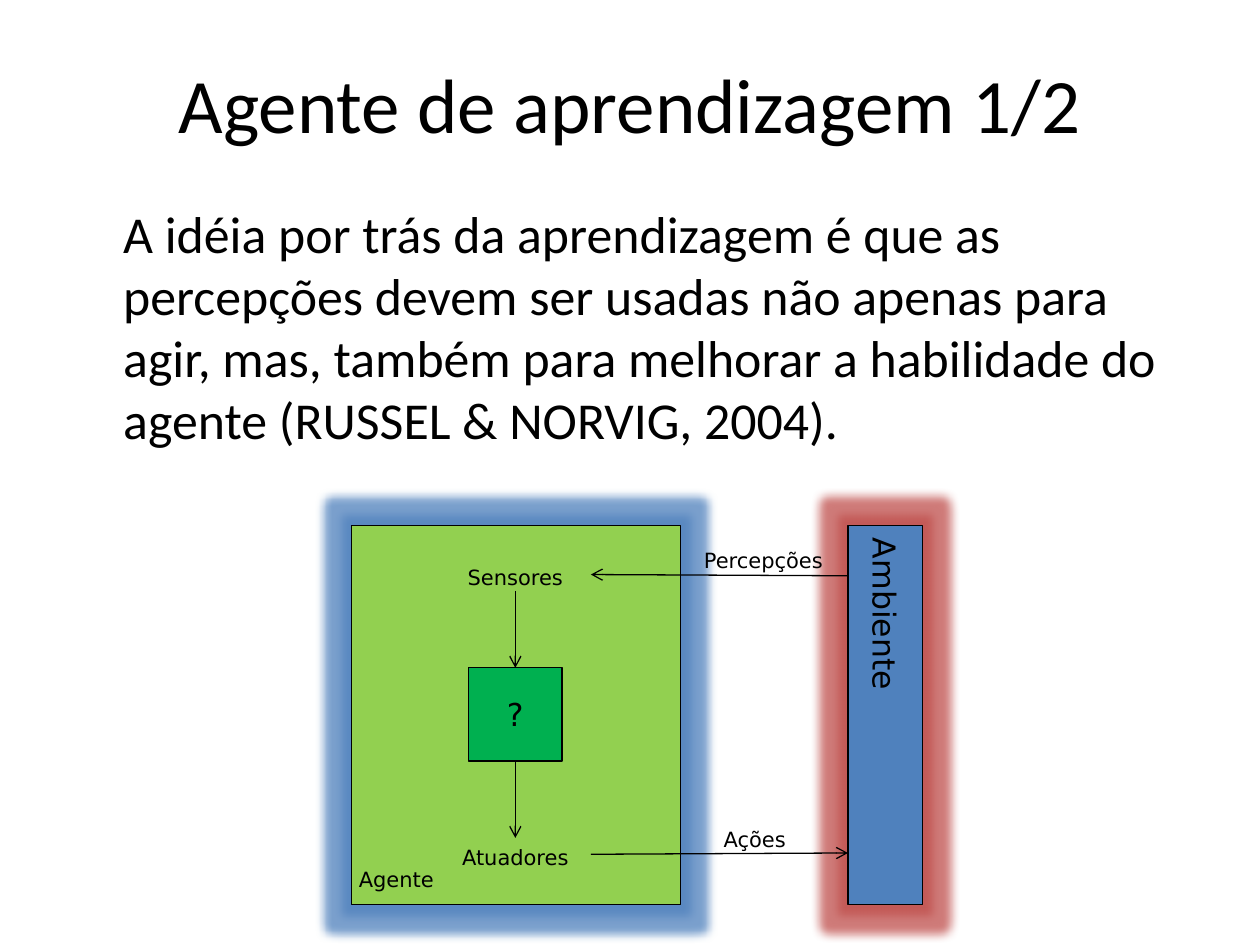
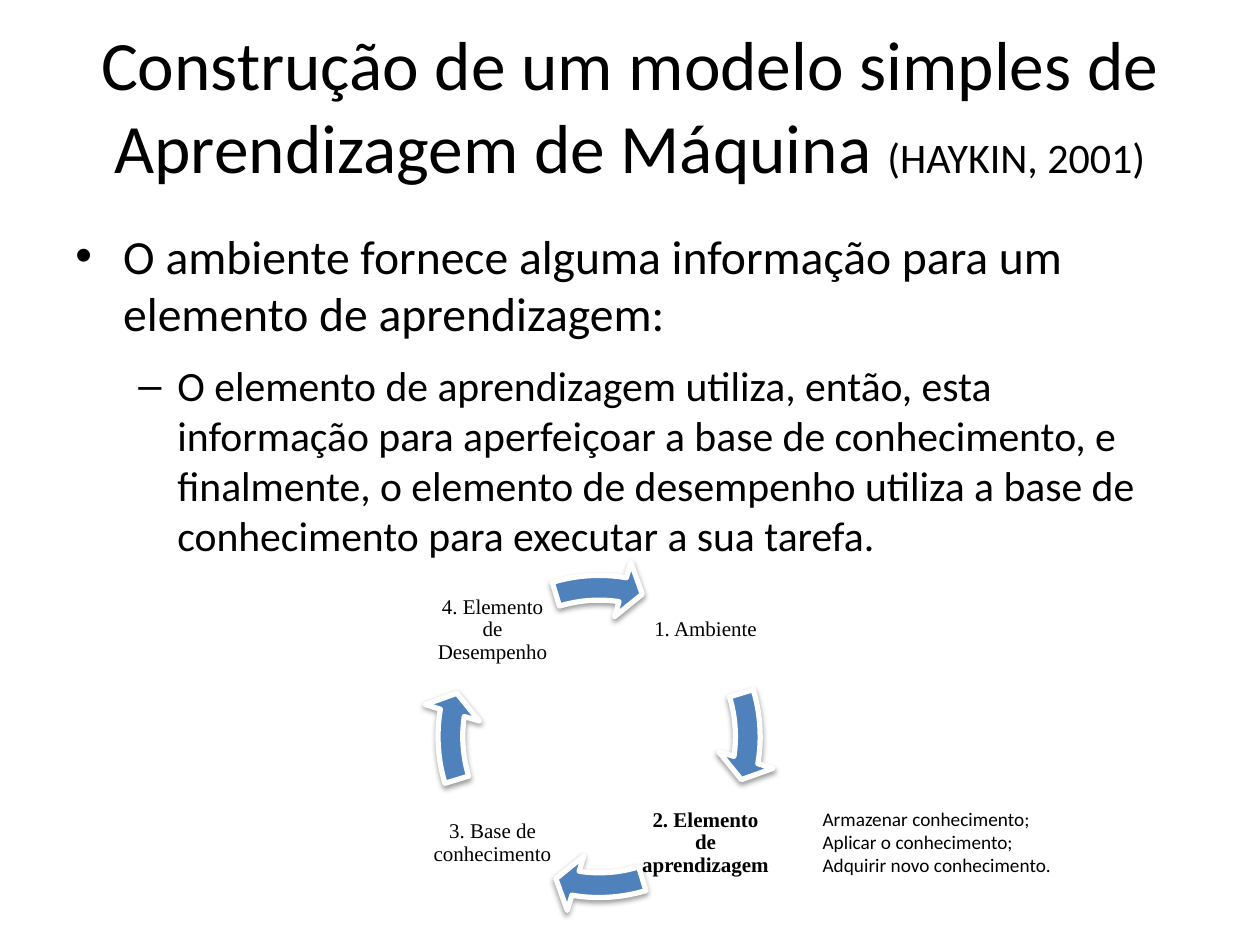
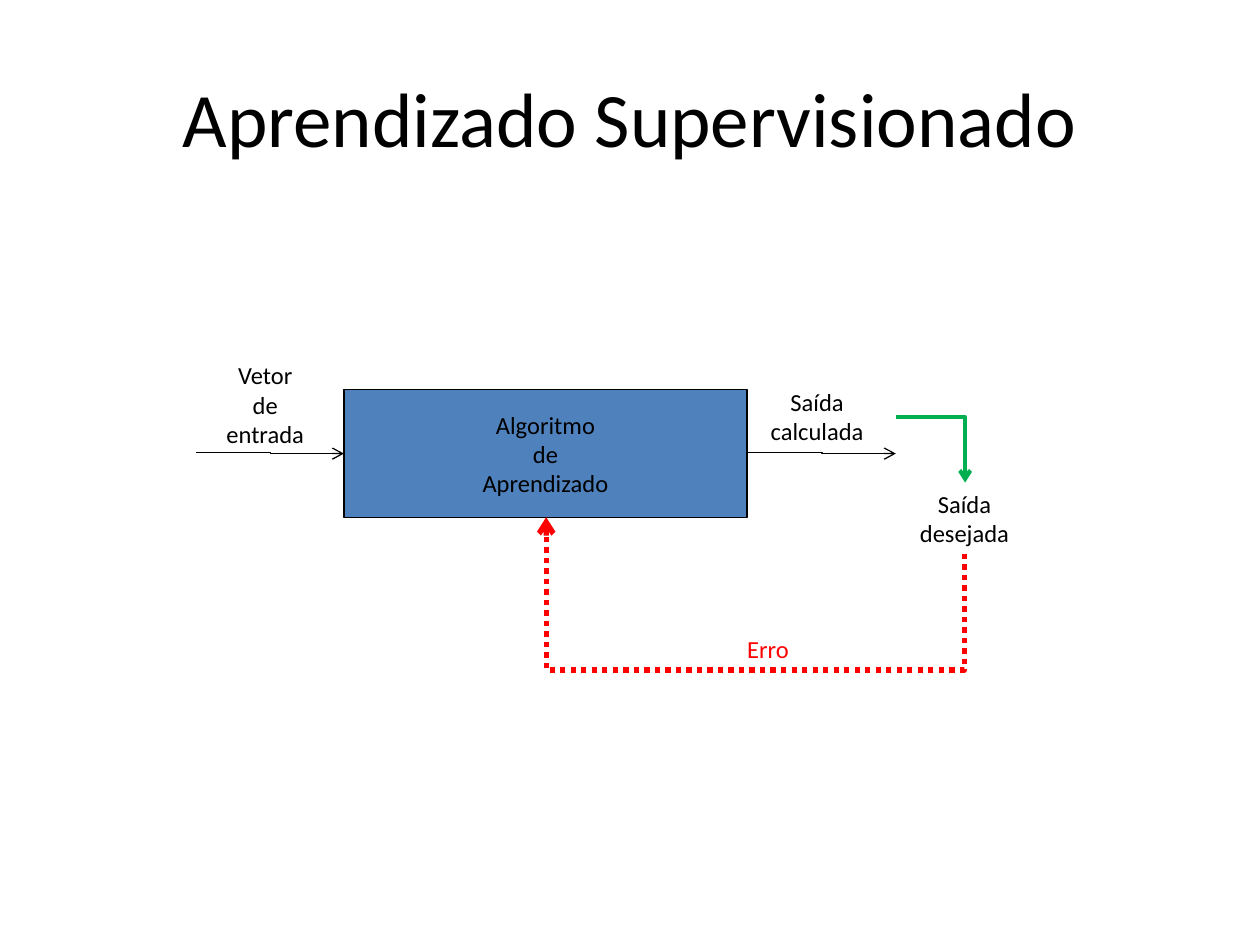
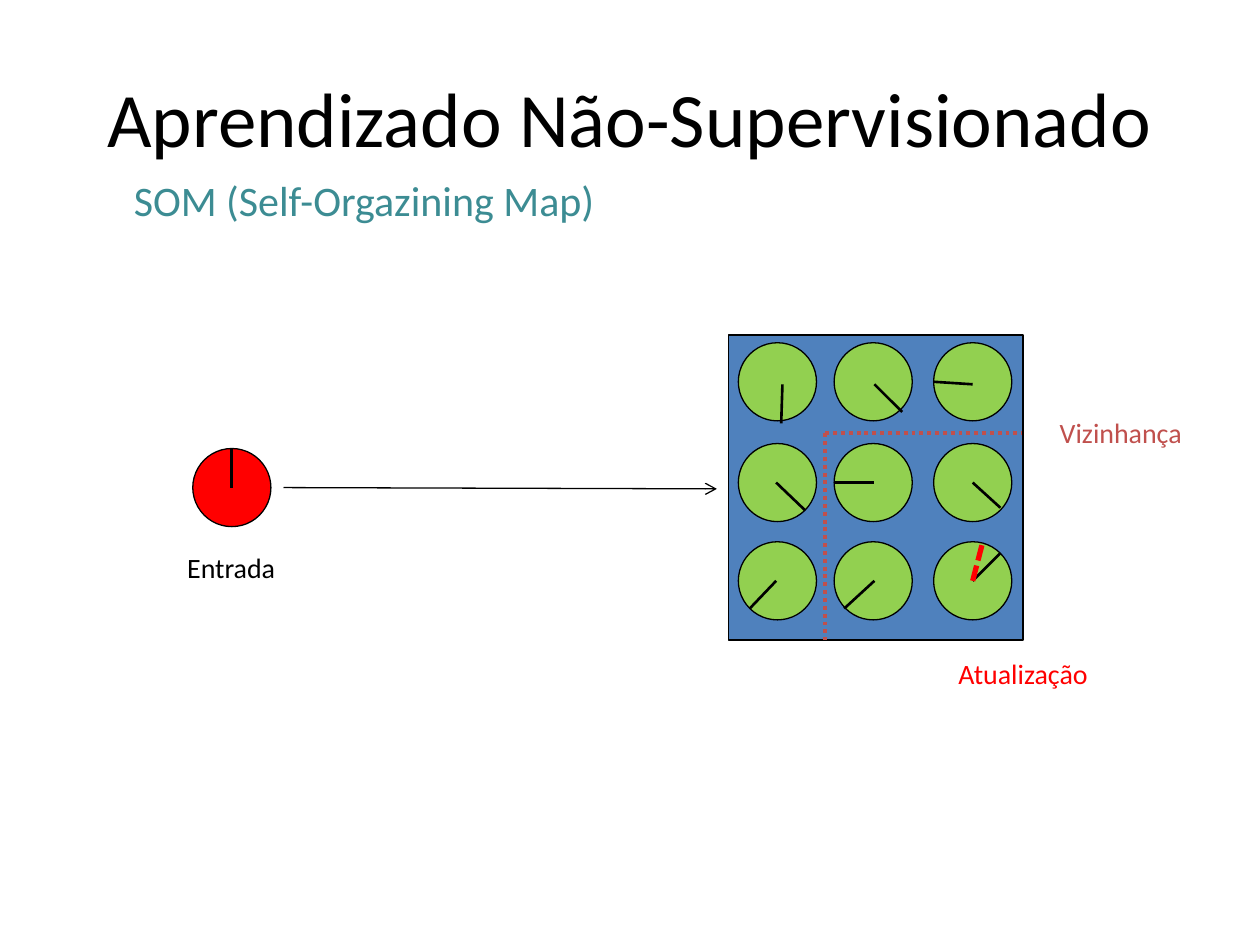
from itertools import product

from lxml.etree import SubElement
from pptx import Presentation
from pptx.dml.color import RGBColor
from pptx.enum.dml import MSO_LINE
from pptx.enum.shapes import MSO_CONNECTOR, MSO_SHAPE
from pptx.enum.text import MSO_ANCHOR, MSO_AUTO_SIZE, PP_ALIGN
from pptx.oxml.ns import qn
from pptx.util import Pt

EMU_PER_PX = 9144  # 100 px to the inch
BLACK, WHITE, RED = "000000", "FFFFFF", "FF0000"
BLUE, BRICK, LIME, GREEN, TEAL = "4F81BD", "C0504D", "92D050", "00B050", "3C8C93"


def px(length):
    return int(length * EMU_PER_PX)


def color(hex_string):
    return RGBColor.from_string(hex_string)


def set_all(target, values):
    for name, value in values.items():
        setattr(target, name, value)


class Deck:
    """Holds the shared style and the current slide."""

    font = "Calibri"
    thin = 0.75

    def __init__(self):
        self.presentation = Presentation()
        set_all(self.presentation, {"slide_width": px(1000), "slide_height": px(750)})
        self.slide = None

    def new_slide(self, title, top=30, height=125, size=44):
        self.slide = self.presentation.slides.add_slide(self.presentation.slide_layouts[6])
        return self.text(title, (50, top, 900, height), size, anchor=MSO_ANCHOR.MIDDLE)

    def fill_text(self, shape, text, size, font=None, ink=BLACK, bold=False,
                  align=PP_ALIGN.CENTER, anchor=MSO_ANCHOR.TOP, spacing=None):
        frame = shape.text_frame
        set_all(frame, {"word_wrap": True, "vertical_anchor": anchor, "text": text})
        for paragraph in frame.paragraphs:
            set_all(paragraph, {"alignment": align, **(spacing or {})})
            for run in paragraph.runs:
                set_all(run.font, {"name": font or self.font, "size": Pt(size), "bold": bold})
                run.font.color.rgb = color(ink)
        return frame

    def text(self, text, box, size, grow=False, **style):
        shape = self.slide.shapes.add_textbox(*map(px, box))
        frame = self.fill_text(shape, text, size, **style)
        frame.auto_size = MSO_AUTO_SIZE.SHAPE_TO_FIT_TEXT if grow else MSO_AUTO_SIZE.NONE
        return frame

    def label(self, text, box, size, **style):
        return self.text(text, box, size, grow=True, **style)

    def indent(self, paragraph, margin, hanging=0, bullet=None):
        properties = paragraph._p.get_or_add_pPr()
        properties.set("marL", str(px(margin)))
        properties.set("indent", str(-px(hanging)))
        if bullet:
            SubElement(properties, qn("a:buFont")).set("typeface", "Arial")
            SubElement(properties, qn("a:buChar")).set("char", bullet)

    def shape(self, kind, box, fill, line=BLACK, width=thin, adjustments=()):
        shape = self.slide.shapes.add_shape(kind, *map(px, box))
        shape.shadow.inherit = False
        shape.fill.solid()
        shape.fill.fore_color.rgb = color(fill)
        shape.line.color.rgb = color(line)
        shape.line.width = Pt(width)
        for index, value in enumerate(adjustments):
            shape.adjustments[index] = value
        return shape

    def effect(self, shape, kind, ink, opacity, **attributes):
        effects = shape.element.spPr.find(qn("a:effectLst"))
        effect = SubElement(effects, qn(f"a:{kind}"))
        for name, value in attributes.items():
            effect.set(name, str(value))
        ink_element = SubElement(effect, qn("a:srgbClr"))
        ink_element.set("val", ink)
        SubElement(ink_element, qn("a:alpha")).set("val", str(opacity * 1000))

    def line(self, start, end, ink=BLACK, width=thin, dash=None, arrow=False,
             kind=MSO_CONNECTOR.STRAIGHT):
        connector = self.slide.shapes.add_connector(kind, *map(px, (*start, *end)))
        connector.line.color.rgb = color(ink)
        set_all(connector.line, {"width": Pt(width), "dash_style": dash})
        properties = connector.element.spPr
        if arrow:
            SubElement(properties.find(qn("a:ln")), qn("a:tailEnd")).set("type", "arrow")
        SubElement(properties, qn("a:effectLst"))
        return connector

    def elbow(self, start, end, preset="bentConnector3", turn=0, bend=None, **style):
        connector = self.line(start, end, arrow=True, kind=MSO_CONNECTOR.ELBOW, **style)
        properties = connector.element.spPr
        geometry = properties.find(qn("a:prstGeom"))
        geometry.set("prst", preset)
        if turn:
            properties.find(qn("a:xfrm")).set("rot", str(turn * 60000))
        if bend is not None:
            guide = SubElement(geometry.find(qn("a:avLst")), qn("a:gd"))
            guide.set("name", "adj1")
            guide.set("fmla", f"val {bend}")


def learning_agent(deck):
    deck.new_slide("Agente de aprendizagem 1/2", top=38, height=87)
    body = deck.text(
        "A idéia por trás da aprendizagem é que as percepções devem ser usadas não apenas "
        "para agir, mas, também para melhorar a habilidade do agente (RUSSEL & NORVIG, 2004).",
        (50, 155, 900, 237), 29.6, align=PP_ALIGN.LEFT, spacing={"space_before": Pt(6)})
    deck.indent(body.paragraphs[0], 38)

    # Agent and environment
    diagram = {"font": "DejaVu Sans"}
    agent = deck.shape(MSO_SHAPE.RECTANGLE, (279, 417, 261, 301), LIME)
    unknown = deck.shape(MSO_SHAPE.RECTANGLE, (372, 530, 74, 74), GREEN)
    environment = deck.shape(MSO_SHAPE.RECTANGLE, (673, 417, 59, 301), BLUE)
    for shape, glow in ((agent, BLUE), (environment, BRICK)):
        deck.effect(shape, "glow", glow, 75, rad=px(15))
    deck.fill_text(unknown, "?", 18, anchor=MSO_ANCHOR.MIDDLE, **diagram)
    frame = deck.fill_text(environment, "Ambiente", 18, anchor=MSO_ANCHOR.MIDDLE, **diagram)
    frame._txBody.bodyPr.set("vert", "eaVert")

    # Labels and arrows
    deck.label("Agente", (275, 683, 120, 26), 12, align=PP_ALIGN.LEFT, **diagram)
    for name, left, top in (("Sensores", 349, 443), ("Atuadores", 349, 665),
                            ("Percepções", 546, 430), ("Ações", 539, 651)):
        deck.label(name, (left, top, 120, 26), 12, **diagram)
    for start, end in (((673, 457), (469, 456)), ((469, 678), (673, 677)),
                       ((409, 469), (409, 530)), ((409, 604), (409, 665))):
        deck.line(start, end, arrow=True)


def machine_learning_model(deck):
    title = deck.new_slide("Construção de um modelo simples de Aprendizagem de Máquina ",
                           top=33, height=100, size=39.6)
    citation = title.paragraphs[0].add_run()
    citation.text = "(HAYKIN, 2001)"
    set_all(citation.font, {"name": deck.font, "size": Pt(24)})
    citation.font.color.rgb = color(BLACK)

    # Bulleted text
    body = deck.text(
        "O ambiente fornece alguma informação para um elemento de aprendizagem:\n"
        "O elemento de aprendizagem utiliza, então, esta informação para aperfeiçoar a base de "
        "conhecimento, e finalmente, o elemento de desempenho utiliza a base de conhecimento "
        "para executar a sua tarefa.",
        (50, 175, 900, 233), 27.2, align=PP_ALIGN.LEFT)
    levels = ((27.2, 6, 38, 38, "•"), (23.8, 12, 81, 31, "–"))
    for paragraph, (size, after, margin, hanging, bullet) in zip(body.paragraphs, levels):
        set_all(paragraph, {"space_before": Pt(size * 0.2), "space_after": Pt(after)})
        paragraph.runs[0].font.size = Pt(size)
        deck.indent(paragraph, margin, hanging, bullet)

    # Cycle: each arrow is a quarter turn (54 units) after the last
    steps = (("1. Ambiente", (510, 450, 100, 100)),
             ("2. Elemento de aprendizagem", (506, 619, 108, 100)),
             ("3. Base de conhecimento", (341, 619, 100, 100)),
             ("4. Elemento de Desempenho", (341, 450, 100, 100)))
    for index, (step, box) in enumerate(steps):
        frame = deck.text(step, box, 12, font="Times New Roman", bold=index == 1,
                          anchor=MSO_ANCHOR.MIDDLE,
                          spacing={"line_spacing": 0.9, "space_after": Pt(4.2)})
        sides = ("left", "top", "right", "bottom")
        set_all(frame, {f"margin_{side}": px(2) for side in sides})
        turn = 54 * index
        arrow = deck.shape(MSO_SHAPE.CIRCULAR_ARROW, (335, 444, 281, 281), BLUE, WHITE, 3,
                           (0.07, 4.66, 5.48 + turn, (205.86 + turn) % 216, 0.08))
        deck.effect(arrow, "outerShdw", BLACK, 38, blurRad=Pt(3.1), dist=Pt(1.6),
                    dir=5400000, rotWithShape=0)

    deck.label("Armazenar conhecimento;\nAplicar o conhecimento;\nAdquirir novo conhecimento.",
               (643, 636, 312, 66), 11, align=PP_ALIGN.LEFT)


def supervised_learning(deck):
    deck.new_slide("Aprendizado Supervisionado")
    algorithm = deck.shape(MSO_SHAPE.RECTANGLE, (273, 309, 320, 102), BLUE)
    deck.fill_text(algorithm, "Algoritmo\nde\nAprendizado", 14, anchor=MSO_ANCHOR.MIDDLE)

    # Labels
    for text, left, top, height, ink in (("Vetor\nde\nentrada", 148, 281, 81, BLACK),
                                         ("Saída\ncalculada", 586, 302, 57, BLACK),
                                         ("Saída\ndesejada", 703, 383, 57, BLACK),
                                         ("Erro", 547, 498, 34, RED)):
        deck.label(text, (left, top, 125, height), 14, ink=ink)

    # Flow of data and of the error
    for left in (156, 594):
        deck.elbow((left, 359), (left + 117, 360))
    deck.elbow((711, 331), (766, 383), "bentConnector2", ink=GREEN, width=2.25)
    deck.elbow((614, 259), (585, 591), turn=90, bend=-318000,
               ink=RED, width=3, dash=MSO_LINE.ROUND_DOT)


def unsupervised_learning(deck):
    deck.new_slide("Aprendizado Não-Supervisionado")

    # Map of neurons and the input
    deck.shape(MSO_SHAPE.RECTANGLE, (578, 266, 234, 242), BLUE)
    neurons = [(left, top, LIME) for top, left in product((272, 352, 430), (586, 662, 741))]
    for left, top, fill in (*neurons, (153, 356, RED)):
        deck.shape(MSO_SHAPE.OVAL, (left, top, 62, 62), fill)

    # Neighbourhood border
    for end in ((811, 344), (655, 508)):
        deck.line((655, 344), end, BRICK, 2.25, MSO_LINE.ROUND_DOT)

    # Needles
    for start, end in (((184, 387), (184, 356)), ((772, 461), (794, 439)),
                       ((620, 336), (621, 305)), ((639, 405), (616, 383)),
                       ((595, 483), (616, 461)), ((741, 303), (772, 305)),
                       ((716, 327), (694, 305)), ((670, 483), (694, 461)),
                       ((794, 403), (772, 383)), ((662, 383), (694, 383))):
        deck.line(start, end, width=1.5)
    deck.line((772, 461), (780, 430), RED, 3, MSO_LINE.SQUARE_DOT)
    deck.line((225, 387), (569, 388), arrow=True)

    # Labels
    for text, box, size, ink in (("Entrada", (86, 432, 195, 37), 16, BLACK),
                                 ("Vizinhança", (819, 325, 141, 37), 16, BRICK),
                                 ("Atualização", (734, 516, 156, 37), 16, RED),
                                 ("SOM (Self-Orgazining Map)", (47, 133, 484, 51), 24, TEAL)):
        deck.label(text, box, size, ink=ink, anchor=MSO_ANCHOR.MIDDLE)


def main():
    deck = Deck()
    for build in (learning_agent, machine_learning_model,
                  supervised_learning, unsupervised_learning):
        build(deck)
    deck.presentation.save("out.pptx")


if __name__ == "__main__":
    main()
